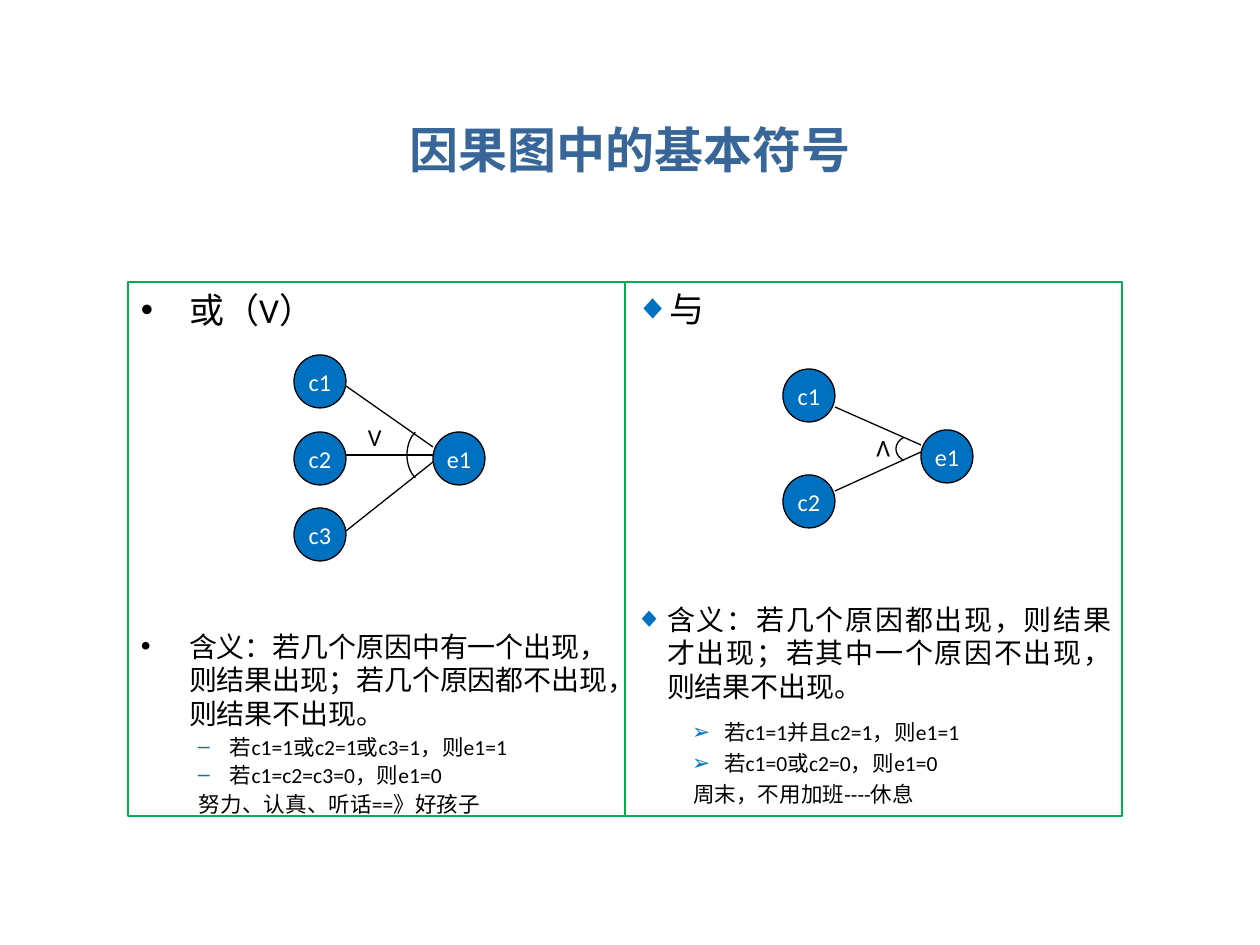
from lxml.etree import SubElement
from pptx import Presentation
from pptx.dml.color import RGBColor
from pptx.enum.shapes import MSO_CONNECTOR, MSO_SHAPE
from pptx.enum.text import MSO_ANCHOR, PP_ALIGN
from pptx.oxml.ns import qn
from pptx.util import Emu, Pt

SCALE = 914400 / 126
BLACK, WHITE, BLUE, GREEN, TITLE = "000000", "FFFFFF", "0070C0", "00B050", "386698"
NODE_W, NODE_H = 52, 53

# Paragraph styles: size, margin and indent in px, spacing before and after in pt
HEAD_OR = dict(size=20, margin=48, indent=-48, bullet="•")
MEANING_OR = dict(HEAD_OR, size=16, before=171)
RULE_OR = dict(size=12.3, margin=89, indent=-32, bullet="–", bullet_color=BLUE,
               before=6, line=0.7)
EXAMPLE_OR = dict(size=12.3, margin=58, before=6, line=0.7)
HEAD_AND = dict(size=20, margin=32, indent=-32, bullet="◆", bullet_color=BLUE,
                after=6, align=PP_ALIGN.JUSTIFY)
MEANING_AND = dict(HEAD_AND, size=16, before=150)
RULE_AND = dict(RULE_OR, bullet="➢", line=0.8)
EXAMPLE_AND = dict(EXAMPLE_OR, line=0.8)

PANELS = [
    dict(
        left=128, insets=(13, 6),
        text=[
            ("或（V）", HEAD_OR),
            ("含义：若几个原因中有一个出现，则结果出现；若几个原因都不出现，则结果不出现。", MEANING_OR),
            ("若c1=1或c2=1或c3=1，则e1=1", RULE_OR),
            ("若c1=c2=c3=0，则e1=0", RULE_OR),
            ("努力、认真、听话==》好孩子", EXAMPLE_OR),
        ],
        operator=(355, 416, 0),
        arc=(425, 455, 18, 27, 67),
        nodes=[("c1", 294, 355), ("c2", 294, 432), ("c3", 294, 508), ("e1", 433, 432)],
        links=[(346, 386, 433, 447), (346, 455, 433, 455), (346, 531, 433, 462)],
    ),
    dict(
        left=625, insets=(10, 5),
        text=[
            ("与", HEAD_AND),
            ("含义：若几个原因都出现，则结果才出现；若其中一个原因不出现，则结果不出现。", MEANING_AND),
            ("若c1=1并且c2=1，则e1=1", RULE_AND),
            ("若c1=0或c2=0，则e1=0", RULE_AND),
            ("周末，不用加班----休息", EXAMPLE_AND),
        ],
        operator=(864, 430, 180),
        arc=(914, 449, 18, 14, 49),
        nodes=[("c1", 783, 369), ("c2", 783, 475), ("e1", 921, 430)],
        links=[(835, 407, 921, 445), (835, 491, 921, 452)],
    ),
]


def px(value):
    return Emu(round(value * SCALE))


def rgb(color):
    return RGBColor.from_string(color)


def add_shape(kind, left, top, width, height, fill=None, line=None):
    shape = page.shapes.add_shape(kind, px(left), px(top), px(width), px(height))
    shape.shadow.inherit = False
    if fill:
        shape.fill.solid()
        shape.fill.fore_color.rgb = rgb(fill)
    else:
        shape.fill.background()
    if line:
        shape.line.color.rgb = rgb(line)
        shape.line.width = Pt(0.75)
    else:
        shape.line.fill.background()
    return shape


def set_frame(shape, insets, anchor, wrap):
    frame = shape.text_frame
    frame.margin_left = frame.margin_right = px(insets[0])
    frame.margin_top = frame.margin_bottom = px(insets[1])
    frame.vertical_anchor = anchor
    frame.word_wrap = wrap
    return frame


def write(paragraph, text, size, color=BLACK, font="Calibri", bold=False,
          align=PP_ALIGN.LEFT, margin=0, indent=0, bullet=None, bullet_color=BLACK,
          before=0, after=0, line=None):
    paragraph.text = text
    paragraph.alignment = align
    paragraph.space_before, paragraph.space_after = Pt(before), Pt(after)
    if line:
        paragraph.line_spacing = line
    properties = paragraph._p.get_or_add_pPr()
    properties.set("marL", str(px(margin)))
    properties.set("indent", str(px(indent)))
    if bullet:
        tint = SubElement(properties, qn("a:buClr"))
        SubElement(tint, qn("a:srgbClr"), val=bullet_color)
        SubElement(properties, qn("a:buFont"), typeface="Arial")
        SubElement(properties, qn("a:buChar"), char=bullet)
    paragraph.font.name = font
    paragraph.font.size = Pt(size)
    paragraph.font.bold = bold
    paragraph.font.color.rgb = rgb(color)


def add_panel(panel):
    box = add_shape(MSO_SHAPE.RECTANGLE, panel["left"], 282, 497, 534, line=GREEN)
    frame = set_frame(box, panel["insets"], MSO_ANCHOR.TOP, True)
    for index, (text, style) in enumerate(panel["text"]):
        paragraph = frame.add_paragraph() if index else frame.paragraphs[0]
        write(paragraph, text, **style)


def add_arc(center_x, center_y, radius_x, radius_y, half_angle):
    """Draw an arc open to the right, spanning half_angle degrees each way."""
    arc = add_shape(MSO_SHAPE.ARC, center_x - radius_x, center_y - radius_y,
                    2 * radius_x, 2 * radius_y, line=BLACK)
    # Angles are stored in 1/60000 degree, adjustments in 1/100000
    arc.adjustments[0] = (180 - half_angle) * 0.6
    arc.adjustments[1] = (180 + half_angle) * 0.6


def add_link(*ends):
    link = page.shapes.add_connector(MSO_CONNECTOR.STRAIGHT, *map(px, ends))
    link.line.color.rgb = rgb(BLACK)
    link.line.width = Pt(0.75)
    SubElement(link._element.spPr, qn("a:effectLst"))


def add_graph(panel):
    left, top, rotation = panel["operator"]
    label = add_shape(MSO_SHAPE.RECTANGLE, left, top, 39, 42, fill=WHITE)
    label.rotation = rotation
    frame = set_frame(label, (13, 6), MSO_ANCHOR.TOP, False)
    write(frame.paragraphs[0], "V", 13.8)
    add_arc(*panel["arc"])
    for name, left, top in panel["nodes"]:
        node = add_shape(MSO_SHAPE.OVAL, left, top, NODE_W, NODE_H, BLUE, BLACK)
        frame = set_frame(node, (13, 6), MSO_ANCHOR.MIDDLE, False)
        write(frame.paragraphs[0], name, 13.8, WHITE, align=PP_ALIGN.CENTER)
    for ends in panel["links"]:
        add_link(*ends)


deck = Presentation()
deck.slide_width, deck.slide_height = px(1260), px(945)
page = deck.slides.add_slide(deck.slide_layouts[6])

title = page.shapes.add_textbox(px(63), px(112), px(1134), px(73))
title_frame = set_frame(title, (13, 6), MSO_ANCHOR.MIDDLE, True)
write(title_frame.paragraphs[0], "因果图中的基本符号", 28, TITLE, "Lato", True, PP_ALIGN.CENTER)

for panel in PANELS:
    add_panel(panel)
for panel in PANELS:
    add_graph(panel)

deck.save("out.pptx")
